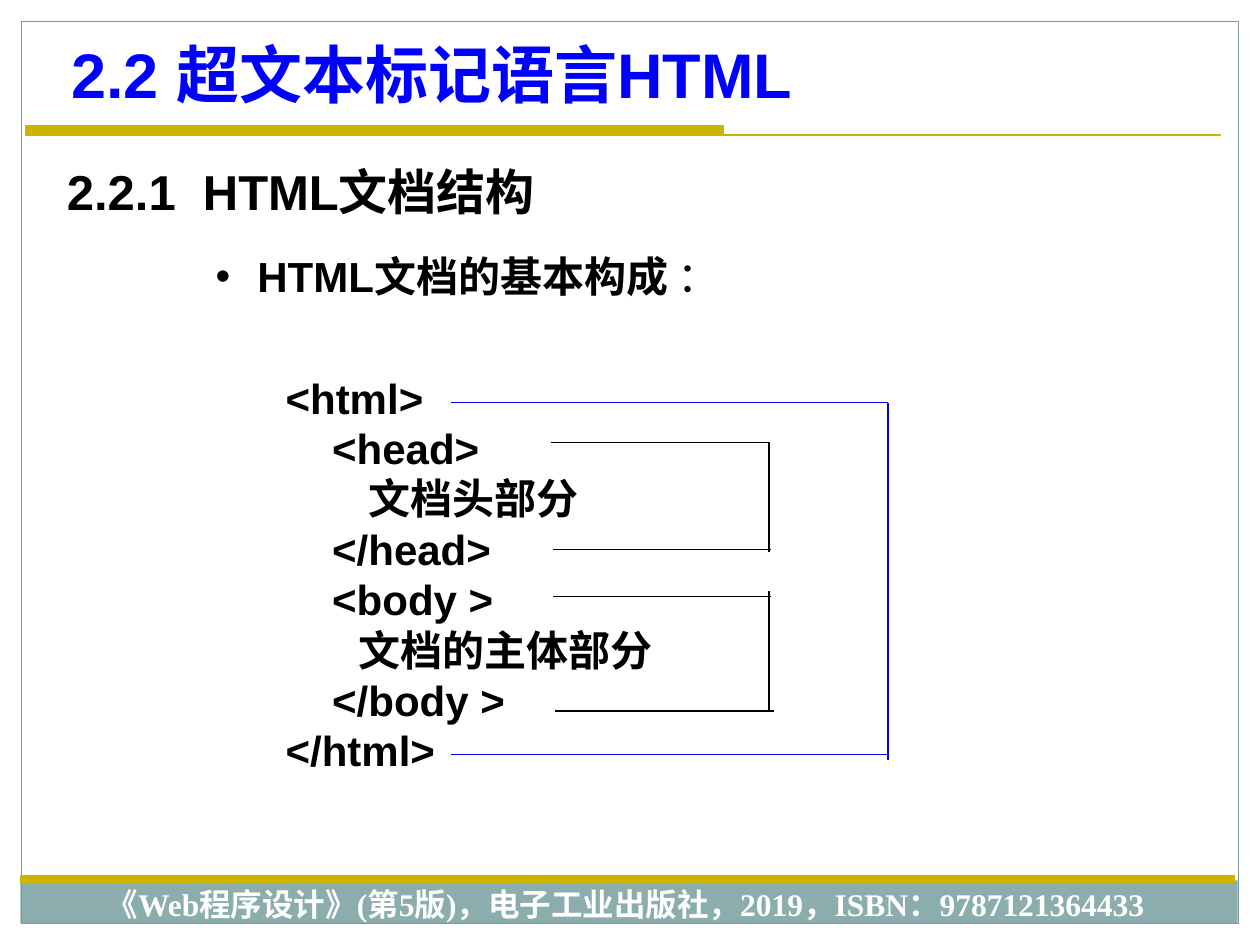
from dataclasses import dataclass

from lxml.etree import SubElement
from pptx import Presentation
from pptx.dml.color import RGBColor
from pptx.enum.shapes import MSO_CONNECTOR, MSO_SHAPE
from pptx.enum.text import MSO_AUTO_SIZE as AutoSize, PP_ALIGN as Align
from pptx.oxml.ns import qn
from pptx.util import Cm, Pt

COLORS = {
    "paper": "FFFFFF",
    "band": "8CADAE",
    "frame": "7C999A",
    "gold": "CCB400",
    "blue": "0000FF",
    "ink": "000000",
}
WIDTH, HEIGHT = 25.4, 19.05
MARGIN = 0.43
THIN = 0.75


@dataclass(frozen=True)
class Panel:
    left: float
    top: float
    width: float
    height: float
    fill: str | None = None
    line: str | None = None


@dataclass(frozen=True)
class TextStyle:
    size: float
    color: str = "ink"
    font: str = "Arial"


@dataclass(frozen=True)
class Arm:
    left: float
    right: float
    y: float


@dataclass(frozen=True)
class Bracket:
    """Two horizontal arms joined by a vertical spine on the right."""
    upper: Arm
    lower: Arm
    spine_x: float
    spine_top: float
    spine_bottom: float
    color: str


PANELS = [
    Panel(0, 0, WIDTH, MARGIN, fill="paper"),
    Panel(WIDTH - MARGIN, 0, MARGIN, HEIGHT, fill="paper"),
    Panel(0, 0, MARGIN, HEIGHT, fill="paper"),
    Panel(0.41, 17.75, 24.54, 0.87, fill="band"),
    Panel(MARGIN, MARGIN, WIDTH - 2 * MARGIN, 18.19, line="frame"),
]

BRACKETS = [
    Bracket(Arm(11.1, 15.5, 8.92), Arm(11.15, 15.55, 11.08), 15.5, 8.92, 11.13, "ink"),
    Bracket(Arm(11.15, 15.55, 12.02), Arm(11.18, 15.6, 14.33), 15.5, 11.91, 14.33, "ink"),
    Bracket(Arm(9.09, 17.9, 8.12), Arm(9.09, 17.9, 15.21), 17.9, 8.12, 15.32, "blue"),
]

CODE_LINES = [
    "      <html>",
    "          <head>",
    "                文档头部分",
    "          </head>",
    "          <body >",
    "               文档的主体部分",
    "          </body >",
    "      </html>",
]


def rgb(name: str) -> RGBColor:
    return RGBColor.from_string(COLORS[name])


def paint(shape, fill: str | None, line: str | None) -> None:
    shape.shadow.inherit = False
    if fill:
        shape.fill.solid()
        shape.fill.fore_color.rgb = rgb(fill)
    else:
        shape.fill.background()
    if line:
        shape.line.color.rgb = rgb(line)
        shape.line.width = Pt(THIN)
    else:
        shape.line.fill.background()


def draw_panel(slide, panel: Panel) -> None:
    shape = slide.shapes.add_shape(
        MSO_SHAPE.RECTANGLE, Cm(panel.left), Cm(panel.top), Cm(panel.width), Cm(panel.height))
    paint(shape, panel.fill, panel.line)


def draw_line(slide, x1: float, y1: float, x2: float, y2: float,
              color: str, width: float = THIN) -> None:
    connector = slide.shapes.add_connector(
        MSO_CONNECTOR.STRAIGHT, Cm(x1), Cm(y1), Cm(x2), Cm(y2))
    connector.line.color.rgb = rgb(color)
    connector.line.width = Pt(width)
    SubElement(connector._element.spPr, qn("a:effectLst"))


def draw_bracket(slide, bracket: Bracket) -> None:
    for arm in (bracket.upper, bracket.lower):
        draw_line(slide, arm.left, arm.y, arm.right, arm.y, bracket.color)
    draw_line(slide, bracket.spine_x, bracket.spine_top,
              bracket.spine_x, bracket.spine_bottom, bracket.color)


def draw_title_rule(slide) -> None:
    """Thick bar whose lower edge runs on as a thin line."""
    left, bar_right, right, top, bottom = (Cm(v) for v in (0.51, 14.59, 24.61, 2.54, 2.72))
    builder = slide.shapes.build_freeform(left, bottom)
    builder.add_line_segments([(bar_right, bottom), (bar_right, top), (left, top)], close=True)
    builder.move_to(left, bottom)
    builder.add_line_segments([(right, bottom)], close=False)
    paint(builder.convert_to_shape(), "gold", "gold")


def add_text_frame(slide, left: float, top: float, width: float, height: float):
    box = slide.shapes.add_textbox(Cm(left), Cm(top), Cm(width), Cm(height))
    frame = box.text_frame
    frame.word_wrap = True
    frame.auto_size = AutoSize.NONE
    return frame


def add_run(paragraph, text: str, style: TextStyle, bold: bool = True) -> None:
    run = paragraph.add_run()
    run.text = text
    run.font.name = style.font
    run.font.size = Pt(style.size)
    run.font.bold = bold
    run.font.color.rgb = rgb(style.color)


def add_bullet(paragraph, indent: float) -> None:
    properties = paragraph._p.get_or_add_pPr()
    properties.set("marL", str(Cm(indent)))
    properties.set("indent", str(-Cm(indent)))
    SubElement(properties, qn("a:buFont"), typeface="Arial")
    SubElement(properties, qn("a:buChar"), char="•")


def add_document_outline(slide) -> None:
    style = TextStyle(24)
    frame = add_text_frame(slide, 4.1, 4.93, 17.81, 10.9)
    heading = frame.paragraphs[0]
    add_bullet(heading, 0.84)
    add_run(heading, "HTML文档的基本构成", style)
    add_run(heading, " ：", style, bold=False)
    for index, code in enumerate(CODE_LINES):
        paragraph = frame.add_paragraph()
        if index == 0:
            paragraph.space_before = Pt(40.6)
        add_run(paragraph, code, style)


def main() -> None:
    presentation = Presentation()
    presentation.slide_width, presentation.slide_height = Cm(WIDTH), Cm(HEIGHT)
    slide = presentation.slides.add_slide(presentation.slide_layouts[6])

    for panel in PANELS:
        draw_panel(slide, panel)
    draw_title_rule(slide)
    draw_line(slide, 0.41, 17.73, 24.89, 17.73, "gold", 5)

    footer = add_text_frame(slide, 0.43, 17.72, 24.36, 1.02).paragraphs[0]
    footer.alignment = Align.CENTER
    add_run(footer, "《Web程序设计》(第5版)，电子工业出版社，2019，ISBN：9787121364433",
            TextStyle(18, "paper", "Times New Roman"))
    title = add_text_frame(slide, 1.19, 0.6, 22.86, 1.32).paragraphs[0]
    add_run(title, "2.2 超文本标记语言HTML", TextStyle(36, "blue"))
    section = add_text_frame(slide, 1.1, 3.14, 14.81, 1.45).paragraphs[0]
    add_run(section, "2.2.1  HTML文档结构", TextStyle(28))
    add_document_outline(slide)

    for bracket in BRACKETS:
        draw_bracket(slide, bracket)
    presentation.save("out.pptx")


if __name__ == "__main__":
    main()
